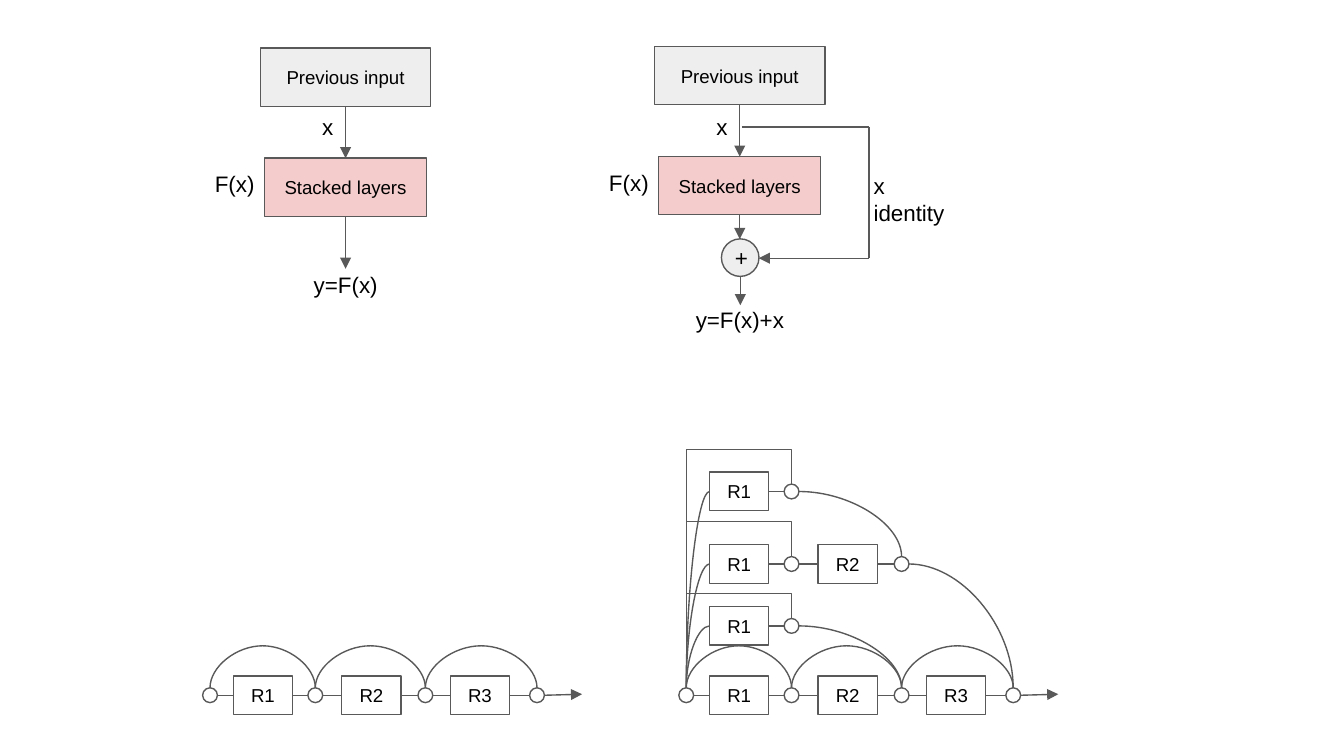
"""Draw residual blocks and the unravelled view of a residual network."""
from pptx import Presentation
from pptx import util as u
from pptx.dml import color
from pptx.enum import shapes, text
from pptx.oxml import ns, xmlchemy

INK, BLACK, WHITE, GREY, PINK = "595959", "000000", "FFFFFF", "EEEEEE", "F4CCCC"
RECT, OVAL = shapes.MSO_SHAPE.RECTANGLE, shapes.MSO_SHAPE.OVAL
STRAIGHT, ELBOW, CURVE = (shapes.MSO_CONNECTOR.STRAIGHT, shapes.MSO_CONNECTOR.ELBOW,
                          shapes.MSO_CONNECTOR.CURVE)

BLOCKS = [
    {"middle": 6.53, "top": 0.91, "output": "y=F(x)", "output_top": 4.88, "arrow_end": 5.08},
    {"middle": 13.98, "top": 0.88, "output": "y=F(x)+x", "output_top": 5.54, "arrow_end": 4.52},
]
UNITS = ["R1", "R2", "R3"]
NODE_STEPS = [0, 1.99, 4.07, 6.18]
UNIT_START, UNIT_STEP, UNIT_W, UNIT_H, NODE = 0.44, 2.05, 1.12, 0.73, 0.28
MAIN_Y, PLAIN_X, UNRAVELLED_X = 13.14, 3.97, 12.97
BRANCHES = [
    {"y": 9.29, "bus": 8.49, "units": UNITS[:1]},
    {"y": 10.66, "bus": 9.86, "units": UNITS[:2]},
    {"y": 11.83, "bus": 11.21, "units": UNITS[:1]},
]

deck = Presentation()
deck.slide_width, deck.slide_height = u.Inches(10), u.Inches(5.625)
slide = deck.slides.add_slide(deck.slide_layouts[6])


def rgb(value):
    return color.RGBColor.from_string(value)


def write(shape, content, size=12, align=text.PP_ALIGN.LEFT, anchor=text.MSO_ANCHOR.TOP):
    frame = shape.text_frame
    frame.word_wrap = True
    frame.vertical_anchor = anchor
    frame.margin_left = frame.margin_right = u.Cm(0.25)
    frame.margin_top = frame.margin_bottom = u.Cm(0.25)
    frame.text = content
    for paragraph in frame.paragraphs:
        paragraph.alignment = align
        font = paragraph.runs[0].font
        font.name, font.size = "Arial", u.Pt(size)
        font.color.rgb = rgb(BLACK)


def label(content, left, top, width, height, **style):
    write(slide.shapes.add_textbox(u.Cm(left), u.Cm(top), u.Cm(width), u.Cm(height)),
          content, **style)


def outline(line):
    line.color.rgb = rgb(INK)
    line.width = u.Pt(0.75)


def box(middle, center, width, height, fill=WHITE, content=None, preset=RECT):
    shape = slide.shapes.add_shape(preset, u.Cm(middle - width / 2), u.Cm(center - height / 2),
                                   u.Cm(width), u.Cm(height))
    shape.shadow.inherit = False
    shape.fill.solid()
    shape.fill.fore_color.rgb = rgb(fill)
    outline(shape.line)
    if content:
        write(shape, content, size=10, align=text.PP_ALIGN.CENTER,
              anchor=text.MSO_ANCHOR.MIDDLE)
    return shape


def connector(start, end, kind=STRAIGHT, arrow=False):
    link = slide.shapes.add_connector(kind, *(u.Cm(v) for v in (*start, *end)))
    outline(link.line)
    if arrow:
        tail = xmlchemy.OxmlElement("a:tailEnd")
        tail.set("type", "triangle")
        link.line._get_or_add_ln().append(tail)
    link._element.spPr.append(xmlchemy.OxmlElement("a:effectLst"))
    return link


def reshape(link, preset, adjust=None):
    geometry = link._element.spPr.find(ns.qn("a:prstGeom"))
    geometry.set("prst", preset)
    if adjust is not None:
        guide = xmlchemy.OxmlElement("a:gd")
        guide.set("name", "adj1")
        guide.set("fmla", f"val {round(adjust * 100000)}")
        geometry.find(ns.qn("a:avLst")).append(guide)


def rise(first, second, start, end, preset, adjust=None, second_site=0, flip=False):
    kind = ELBOW if preset.startswith("bent") else CURVE
    link = connector(start, end, kind)
    link.begin_connect(first, 0)
    link.end_connect(second, second_site)
    across = u.Cm(end[0] - start[0])
    up = max(u.Cm(start[1] - end[1]), 600)
    link.left = u.Cm((start[0] + end[0]) / 2) - up // 2
    link.top = u.Cm((start[1] + end[1]) / 2) - across // 2
    link.width, link.height = up, across
    frame = link._element.spPr.xfrm
    frame.set("rot", "16200000")
    frame.set("flipH", str(int(flip)))
    frame.set("flipV", "0")
    reshape(link, preset, adjust)


def fall(start, end):
    reshape(connector(start, end, CURVE), "curvedConnector2")


def chain(left, y, units, first_node=0):
    nodes = {i: box(left + NODE_STEPS[i], y, NODE, NODE, preset=OVAL)
             for i in range(first_node, len(units) + 1)}
    parts = []
    for i, unit in enumerate(units):
        unit_left = left + UNIT_START + i * UNIT_STEP
        parts.append(box(unit_left + UNIT_W / 2, y, UNIT_W, UNIT_H, content=unit))
        if i in nodes:
            connector((left + NODE_STEPS[i] + NODE / 2, y), (unit_left, y))
        connector((unit_left + UNIT_W, y), (left + NODE_STEPS[i + 1] - NODE / 2, y))
    return nodes, parts


def main_chain(left):
    nodes, _ = chain(left, MAIN_Y, UNITS)
    top = MAIN_Y - NODE / 2
    for i in range(len(UNITS)):
        rise(nodes[i], nodes[i + 1], (left + NODE_STEPS[i], top),
             (left + NODE_STEPS[i + 1], top), "curvedConnector3", -396.875, flip=True)
    end = left + NODE_STEPS[-1]
    connector((end + NODE / 2, MAIN_Y), (end + 0.85, MAIN_Y - 0.02), arrow=True)
    return nodes


main_chain(PLAIN_X)
source = main_chain(UNRAVELLED_X)[0]
origin = (UNRAVELLED_X, MAIN_Y - NODE / 2)
for branch in BRANCHES:
    y = branch["y"]
    nodes, parts = chain(UNRAVELLED_X, y, branch["units"], first_node=1)
    node_top = y - NODE / 2
    rise(source, nodes[1], origin, (UNRAVELLED_X + NODE_STEPS[1], node_top),
         "bentConnector3", (origin[1] - branch["bus"]) / (origin[1] - node_top))
    rise(source, parts[0], origin, (UNRAVELLED_X + UNIT_START, y),
         "curvedConnector2", second_site=1)
for step, y, target in [(1, BRANCHES[0]["y"], BRANCHES[1]["y"]),
                        (2, BRANCHES[1]["y"], MAIN_Y), (1, BRANCHES[2]["y"], MAIN_Y)]:
    fall((UNRAVELLED_X + NODE_STEPS[step] + NODE / 2, y),
         (UNRAVELLED_X + NODE_STEPS[step + 1], target - NODE / 2))

for block in BLOCKS:
    middle, top = block["middle"], block["top"]
    box(middle, top + 0.55, 3.22, 1.1, GREY, "Previous input")
    box(middle, top + 2.63, 3.06, 1.1, PINK, "Stacked layers")
    connector((middle, top + 1.1), (middle, top + 2.08), arrow=True)
    connector((middle, top + 3.18), (middle, block["arrow_end"]), arrow=True)
    label("x", middle - 0.69, 1.88, 0.58, 1.37)
    label("F(x)", middle - 2.72, top + 2.06, 2.49, 1.1)
    label(block["output"], middle - 1.24, block["output_top"], 2.49, 1.1,
          align=text.PP_ALIGN.CENTER)

box(13.99, 4.87, 0.71, 0.71, GREY, preset=OVAL)
label("+", 13.21, 4.37, 1.6, 0.71, align=text.PP_ALIGN.CENTER)
connector((14.02, 2.4), (16.42, 2.4))
connector((16.42, 2.4), (16.42, 4.88))
connector((16.42, 4.88), (14.34, 4.88), arrow=True)
connector((13.99, 5.23), (13.99, 5.77), arrow=True)
label("x\nidentity", 16.26, 3, 5.36, 1.37)

deck.save("out.pptx")
